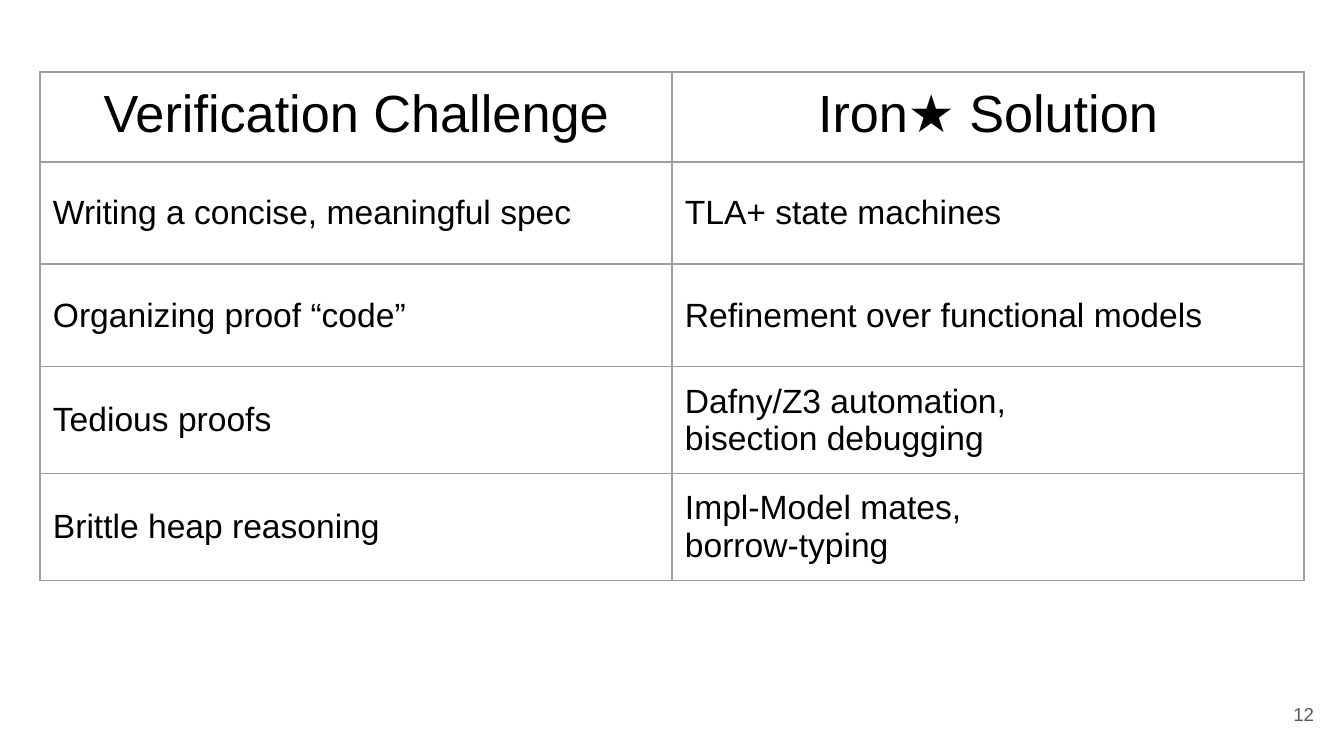
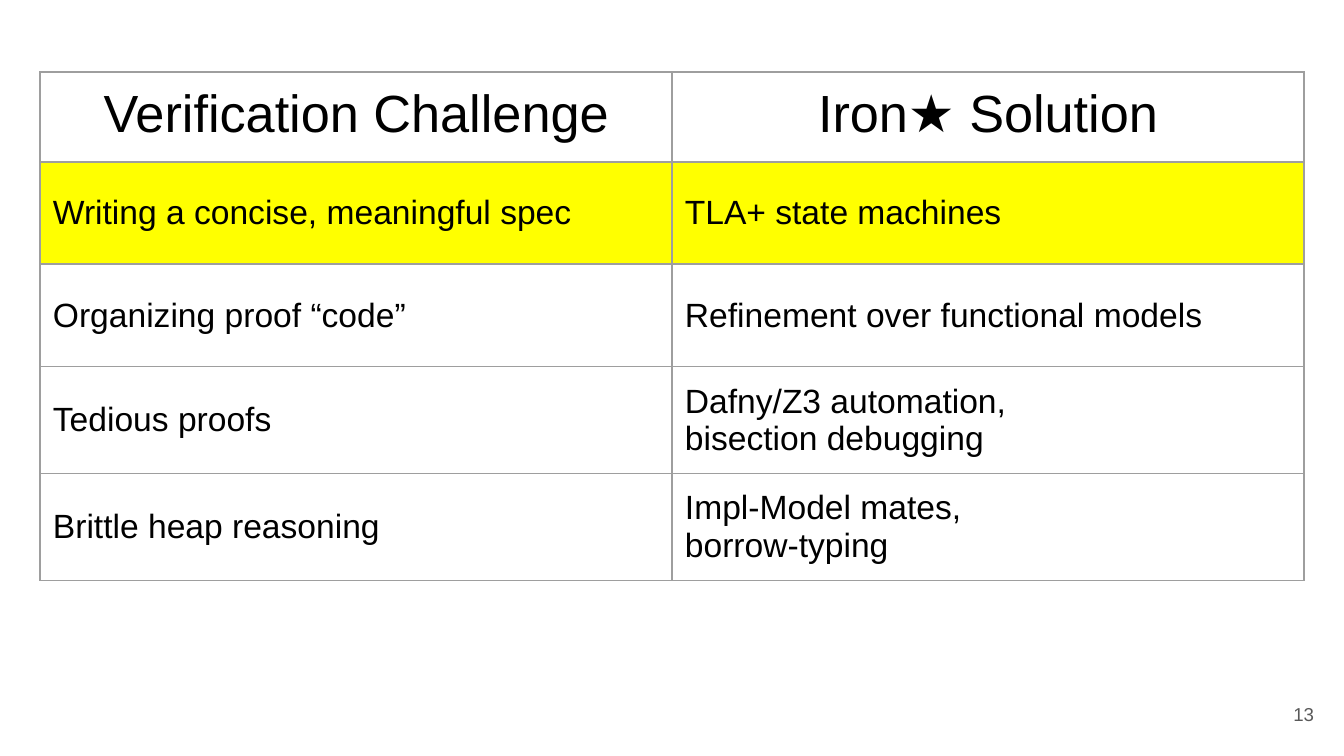
import dataclasses

import pptx
import pptx.dml.color
import pptx.enum.text
import pptx.oxml
import pptx.oxml.ns
import pptx.util

PX = 914400 / 134.4  # EMU per px
ALIGN = pptx.enum.text.PP_ALIGN
MIDDLE = pptx.enum.text.MSO_ANCHOR.MIDDLE
TOP = pptx.enum.text.MSO_ANCHOR.TOP


@dataclasses.dataclass(frozen=True)
class Theme:
    font: str = "Arial"
    text: str = "000000"
    muted: str = "595959"
    border: str = "9E9E9E"
    highlight: str = "FFFF00"
    header_size: int = 28
    body_size: int = 18
    number_size: int = 10
    border_width: float = 0.75
    inset: int = 13


THEME = Theme()

SLIDE_SIZE = (1344, 756)
TABLE_BOX = (40, 72, 1264)  # left, top, width
NUMBER_BOX = (1246, 685, 81, 58)
ROW_HEIGHTS = (90, 102, 103, 102, 102)
# Each cell is a list of paragraphs
ROWS = [
    (["Verification Challenge"], ["Iron★ Solution"]),
    (["Writing a concise, meaningful spec"], ["TLA+ state machines"]),
    (["Organizing proof “code”"], ["Refinement over functional models"]),
    (["Tedious proofs"], ["Dafny/Z3 automation,", "bisection debugging"]),
    (["Brittle heap reasoning"], ["Impl-Model mates,", "borrow-typing"]),
]


def px(n):
    return pptx.util.Emu(round(n * PX))


def rgb(color):
    return pptx.dml.color.RGBColor.from_string(color)


def set_margins(target):
    """Apply the shared inset to a cell or text frame."""
    for side in ("left", "top", "right", "bottom"):
        setattr(target, f"margin_{side}", px(THEME.inset))


def write(tf, lines, size, color, align):
    for i, line in enumerate(lines):
        p = tf.paragraphs[0] if i == 0 else tf.add_paragraph()
        p.alignment = align
        r = p.add_run()
        r.text = line
        r.font.name = THEME.font
        r.font.size = pptx.util.Pt(size)
        r.font.color.rgb = rgb(color)


def add_borders(cell):
    tc_pr = cell._tc.get_or_add_tcPr()
    width = pptx.util.Pt(THEME.border_width)
    for side in ("lnL", "lnR", "lnT", "lnB"):
        tc_pr.append(pptx.oxml.parse_xml(
            f'<a:{side} {pptx.oxml.ns.nsdecls("a")} w="{width}">'
            f'<a:solidFill><a:srgbClr val="{THEME.border}"/></a:solidFill>'
            f'</a:{side}>'))


def format_cell(cell, lines, is_header, highlighted):
    set_margins(cell)
    cell.vertical_anchor = TOP if is_header else MIDDLE
    add_borders(cell)
    if highlighted:
        cell.fill.solid()
        cell.fill.fore_color.rgb = rgb(THEME.highlight)
    else:
        cell.fill.background()
    size = THEME.header_size if is_header else THEME.body_size
    align = ALIGN.CENTER if is_header else ALIGN.LEFT
    write(cell.text_frame, lines, size, THEME.text, align)


def add_challenge_table(s, box, highlighted_row):
    left, top, width = box
    columns = len(ROWS[0])
    table = s.shapes.add_table(len(ROWS), columns, px(left), px(top),
                               px(width), px(sum(ROW_HEIGHTS))).table
    table.first_row = False
    table.horz_banding = False
    for column in table.columns:
        column.width = px(width / columns)
    for i, (height, row) in enumerate(zip(ROW_HEIGHTS, ROWS)):
        table.rows[i].height = px(height)
        for j, lines in enumerate(row):
            format_cell(table.cell(i, j), lines, i == 0, i == highlighted_row)


def add_slide_number(s, box, number):
    tf = s.shapes.add_textbox(*map(px, box)).text_frame
    tf.word_wrap = True
    tf.vertical_anchor = MIDDLE
    set_margins(tf)
    write(tf, [str(number)], THEME.number_size, THEME.muted, ALIGN.RIGHT)


def add_challenge_slide(prs, number, highlighted_row=None):
    s = prs.slides.add_slide(prs.slide_layouts[6])
    add_slide_number(s, NUMBER_BOX, number)
    add_challenge_table(s, TABLE_BOX, highlighted_row)


def main():
    prs = pptx.Presentation()
    prs.slide_width, prs.slide_height = map(px, SLIDE_SIZE)
    add_challenge_slide(prs, 12)
    add_challenge_slide(prs, 13, highlighted_row=1)
    prs.save("out.pptx")


if __name__ == "__main__":
    main()
